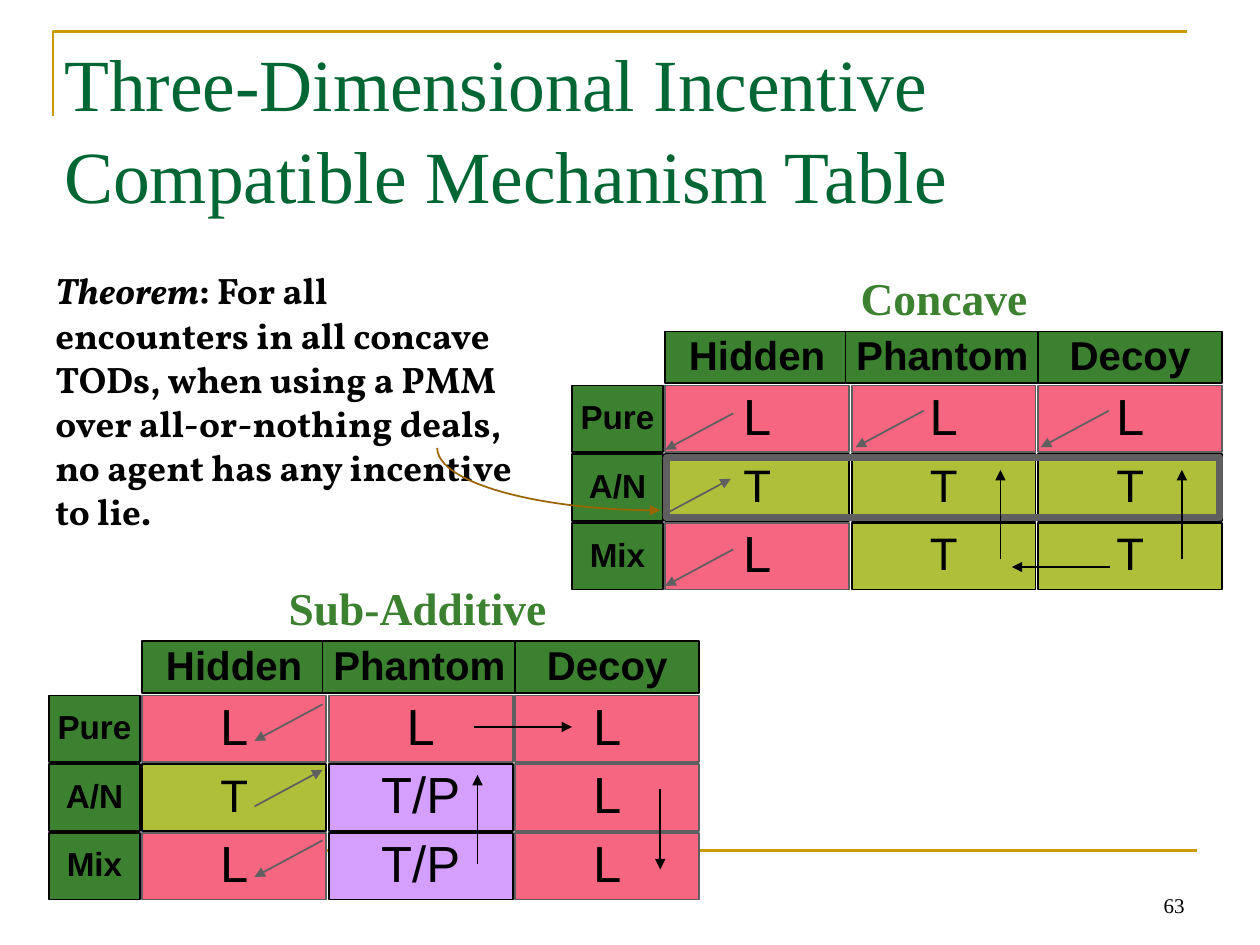
from dataclasses import dataclass

from pptx import Presentation
from pptx.dml.color import RGBColor
from pptx.enum.shapes import MSO_CONNECTOR, MSO_SHAPE
from pptx.enum.text import MSO_ANCHOR, PP_ALIGN
from pptx.oxml.ns import qn
from pptx.util import Inches, Pt
from lxml.etree import SubElement

COLORS = {
    "gold": "CC9900", "brown": "996600", "title": "006633", "header": "3B812F",
    "lie": "F76681", "truth": "AFBF39", "either": "D49FFF",
    "gray": "5F5F5F", "black": "000000",
}
SERIF, SANS, BODY = "Times New Roman", "Arial", "Vollkorn"

ROW_LABELS = ["Pure", "A/N", "Mix"]
# Header text, left offset and width inside a grid
HEADERS = [("Hidden", 0.74, 1.46), ("Phantom", 2.17, 1.54), ("Decoy", 3.7, 1.46)]
LABEL_WIDTH, CELL_WIDTH = 0.72, 1.46
HEADER_HEIGHT, CELL_HEIGHT = 0.41, 0.53
FIRST_COLUMN, COLUMN_STEP = 0.74, 1.48
FIRST_ROW, ROW_STEP = 0.43, 0.545


@dataclass(frozen=True)
class CellStyle:
    fill: str
    line: str
    size: int
    bold: bool = False


@dataclass(frozen=True)
class Grid:
    title: str
    title_box: tuple
    left: float
    top: float
    rows: list


@dataclass(frozen=True)
class Arrow:
    start: tuple
    end: tuple
    color: str = "black"


HEADER_STYLE = CellStyle("header", "black", 23, True)
LABEL_STYLE = CellStyle("header", "black", 19, True)
OUTCOME_STYLES = {
    "L": CellStyle("lie", "gray", 29),
    "T": CellStyle("truth", "black", 26),
    "T/P": CellStyle("either", "black", 29),
}
GRIDS = [
    Grid("Sub-Additive", (2.23, 4.64, 2.18, 0.42), 0.39, 5.09,
         [["L", "L", "L"], ["T", "T/P", "L"], ["L", "T/P", "L"]]),
    Grid("Concave", (6.77, 2.18, 1.46, 0.42), 4.54, 2.63,
         [["L", "L", "L"], ["T", "T", "T"], ["L", "T", "T"]]),
]

# Lower-left ends of the diagonal arrows, which all have the same slope
DIAGONAL_RUN, DIAGONAL_RISE = 0.54, 0.29
DOWNWARD = [(2.02, 5.88), (2.02, 6.96), (5.28, 3.57), (6.79, 3.55), (8.26, 3.55), (5.28, 4.65)]
UPWARD = [(2.02, 6.4), (5.26, 4.09)]
STRAIGHT_ARROWS = [
    Arrow((3.76, 5.77), (4.54, 5.77)),
    Arrow((3.79, 6.86), (3.79, 6.15)),
    Arrow((5.24, 6.26), (5.24, 6.9)),
    Arrow((8.81, 4.5), (8.03, 4.5)),
    Arrow((7.94, 4.44), (7.94, 3.73)),
    Arrow((9.38, 4.44), (9.38, 3.73)),
]


def rgb(name: str) -> RGBColor:
    return RGBColor.from_string(COLORS[name])


def set_line(shape, color: str, width: float) -> None:
    shape.line.color.rgb = rgb(color)
    shape.line.width = Pt(width)


def add_arrowhead(shape, end: str) -> None:
    """Put a triangle on an end of the line: headEnd or tailEnd."""
    SubElement(shape.line._get_or_add_ln(), qn(f"a:{end}"), type="triangle")


def format_run(run, font: str, size: float, color: str, bold=False, italic=False) -> None:
    run.font.name = font
    run.font.size = Pt(size)
    run.font.color.rgb = rgb(color)
    run.font.bold = bold
    run.font.italic = italic


def set_margins(text_frame, horizontal: float, vertical: float) -> None:
    text_frame.margin_left = text_frame.margin_right = Inches(horizontal)
    text_frame.margin_top = text_frame.margin_bottom = Inches(vertical)


def add_text(slide, box: tuple, text: str, font: str, size: float, color: str,
             bold=False, anchor=MSO_ANCHOR.TOP, align=PP_ALIGN.LEFT,
             spacing=1.0, margins=(0.1, 0.05), wrap=True):
    text_frame = slide.shapes.add_textbox(*map(Inches, box)).text_frame
    text_frame.text = text
    text_frame.word_wrap = wrap
    text_frame.vertical_anchor = anchor
    set_margins(text_frame, *margins)
    paragraph = text_frame.paragraphs[0]
    paragraph.alignment = align
    paragraph.line_spacing = spacing
    format_run(paragraph.runs[0], font, size, color, bold)
    return paragraph


def add_outline(slide, preset, box: tuple, color: str, width: float):
    """Add a preset shape that has a line but no fill."""
    shape = slide.shapes.add_shape(preset, *map(Inches, box))
    shape.shadow.inherit = False
    shape.fill.background()
    set_line(shape, color, width)
    return shape


def add_cell(slide, box: tuple, text: str, style: CellStyle) -> None:
    shape = add_outline(slide, MSO_SHAPE.RECTANGLE, box, style.line, 1)
    shape.fill.solid()
    shape.fill.fore_color.rgb = rgb(style.fill)
    text_frame = shape.text_frame
    text_frame.text = text
    text_frame.vertical_anchor = MSO_ANCHOR.MIDDLE
    set_margins(text_frame, 0.05, 0.03)
    paragraph = text_frame.paragraphs[0]
    paragraph.alignment = PP_ALIGN.CENTER
    paragraph.line_spacing = 0.9
    format_run(paragraph.runs[0], SANS, style.size, "black", style.bold)


def add_grid(slide, grid: Grid) -> None:
    add_text(slide, grid.title_box, grid.title, SERIF, 26, "header", bold=True,
             spacing=0.85, margins=(0.06, 0.03), wrap=False)
    for text, offset, width in HEADERS:
        add_cell(slide, (grid.left + offset, grid.top, width, HEADER_HEIGHT), text, HEADER_STYLE)
    for row, (label, outcomes) in enumerate(zip(ROW_LABELS, grid.rows)):
        top = grid.top + FIRST_ROW + row * ROW_STEP
        add_cell(slide, (grid.left, top, LABEL_WIDTH, CELL_HEIGHT), label, LABEL_STYLE)
        for column, outcome in enumerate(outcomes):
            left = grid.left + FIRST_COLUMN + column * COLUMN_STEP
            add_cell(slide, (left, top, CELL_WIDTH, CELL_HEIGHT), outcome, OUTCOME_STYLES[outcome])


def add_line(slide, start: tuple, end: tuple, color: str, width: float):
    line = slide.shapes.add_connector(MSO_CONNECTOR.STRAIGHT, *map(Inches, start + end))
    set_line(line, color, width)
    SubElement(line._element.spPr, qn("a:effectLst"))
    return line


def add_corner_rule(slide) -> None:
    builder = slide.shapes.build_freeform(Inches(0.42), Inches(0.92))
    corner = [(Inches(0.42), Inches(0.25)), (Inches(9.42), Inches(0.25))]
    builder.add_line_segments(corner, close=False)
    shape = builder.convert_to_shape()
    shape.shadow.inherit = False
    shape.fill.background()
    set_line(shape, "gold", 1.5)


def diagonal_arrows() -> list[Arrow]:
    def upper(point: tuple) -> tuple:
        return point[0] + DIAGONAL_RUN, point[1] - DIAGONAL_RISE

    return ([Arrow(upper(point), point, "gray") for point in DOWNWARD]
            + [Arrow(point, upper(point), "gray") for point in UPWARD])


def main() -> None:
    presentation = Presentation()
    presentation.slide_width, presentation.slide_height = Inches(10), Inches(7.5)
    slide = presentation.slides.add_slide(presentation.slide_layouts[6])

    add_corner_rule(slide)
    add_line(slide, (0.5, 6.75), (9.5, 6.75), "gold", 1.5)
    add_text(slide, (0.42, 0.17, 8.07, 1.66),
             "Three-Dimensional Incentive Compatible Mechanism Table", SERIF, 42, "title",
             anchor=MSO_ANCHOR.MIDDLE, spacing=1.05, margins=(0.09, 0.04))
    for grid in GRIDS:
        add_grid(slide, grid)

    theorem = add_text(slide, (0.34, 2.08, 3.92, 2.2), "Theorem", BODY, 21, "black", bold=True)
    theorem.runs[0].font.italic = True
    statement = theorem.add_run()
    statement.text = (": For all encounters in all concave TODs, when using a PMM over "
                      "all-or-nothing deals, no agent has any incentive to lie.")
    format_run(statement, BODY, 21, "black", bold=True)

    add_outline(slide, MSO_SHAPE.RECTANGLE, (5.29, 3.63, 4.39, 0.48), "gray", 4)
    for arrow in diagonal_arrows() + STRAIGHT_ARROWS:
        add_arrowhead(add_line(slide, arrow.start, arrow.end, arrow.color, 1), "tailEnd")
    curve = add_outline(slide, MSO_SHAPE.ARC, (3.47, 3.06, 3.54, 0.99), "brown", 1)
    # Quarter arc from 90 to 180 degrees, in units of 60000 / 100000 per degree
    curve.adjustments[0], curve.adjustments[1] = 90 * 0.6, 180 * 0.6
    add_arrowhead(curve, "headEnd")

    add_text(slide, (7.17, 6.83, 2.33, 0.5), "63", SERIF, 12, "black",
             anchor=MSO_ANCHOR.BOTTOM, align=PP_ALIGN.RIGHT)
    presentation.save("out.pptx")


if __name__ == "__main__":
    main()
